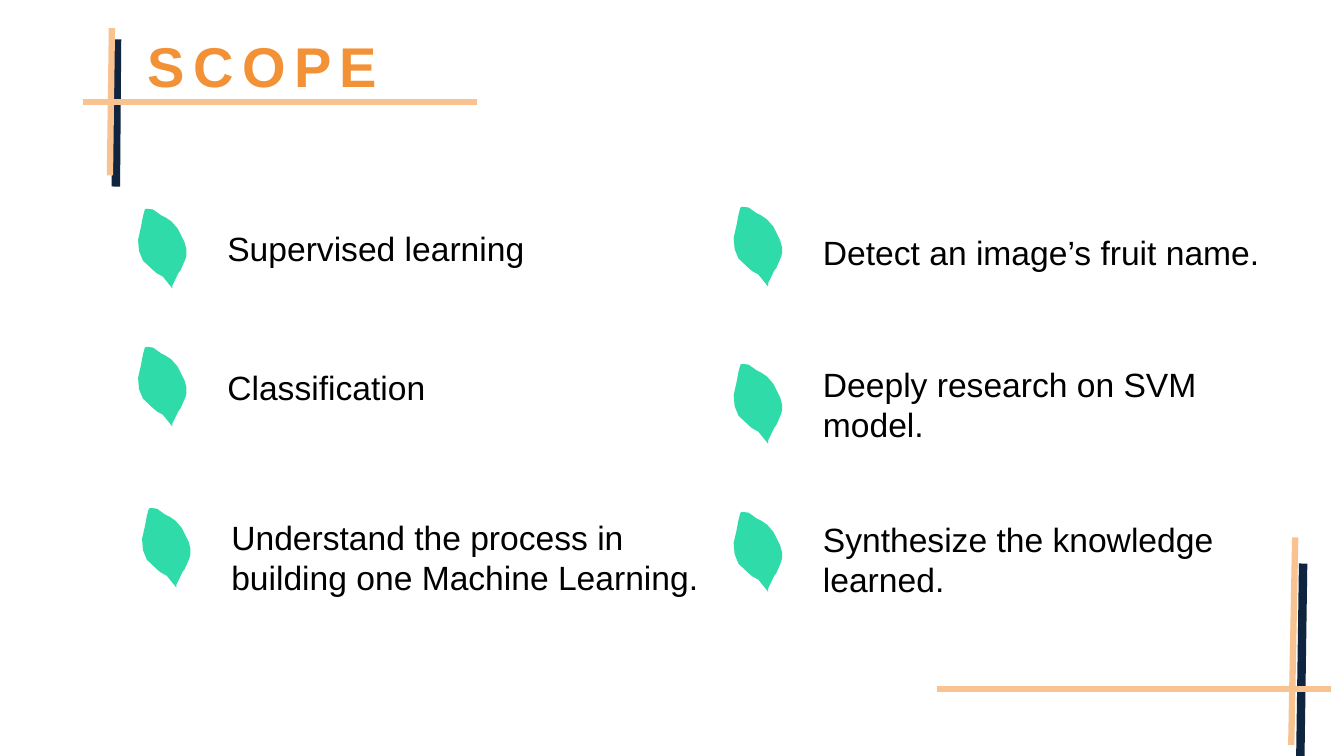
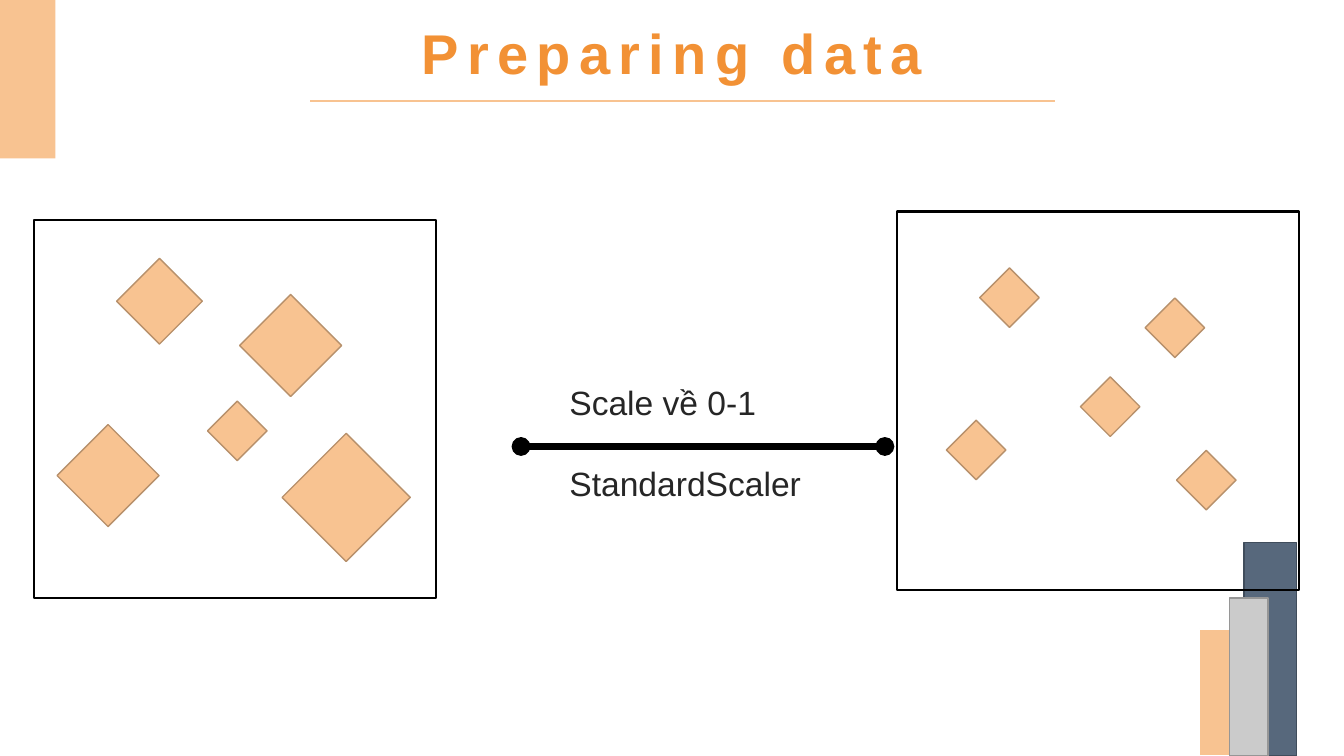
from lxml import etree
from pptx import Presentation
from pptx.dml.color import RGBColor
from pptx.enum.shapes import MSO_CONNECTOR, MSO_SHAPE
from pptx.enum.text import PP_ALIGN
from pptx.oxml.ns import qn
from pptx.util import Cm, Pt

RECT, DIAMOND = MSO_SHAPE.RECTANGLE, MSO_SHAPE.DIAMOND
STRAIGHT = MSO_CONNECTOR.STRAIGHT
LEFT, CENTER = PP_ALIGN.LEFT, PP_ALIGN.CENTER

FONT = "Arial"
ORANGE, PEACH, NAVY, GREEN = "F29135", "F8C391", "0F243E", "2FDBA9"
SLATE, GREY, BLACK, WHITE, DARK = "57687C", "CBCBCB", "000000", "FFFFFF", "262626"

LEAF = [(96, 42), (82, 25), (69, 16), (57, 11), (47, 8), (31, 1), (18, 0), (14, 1),
        (10, 10), (6, 23), (0, 39), (2, 53), (10, 65), (31, 77), (39, 81), (51, 85),
        (71, 100), (71, 96), (76, 90), (84, 80), (88, 77), (98, 63), (100, 58), (100, 51)]
LEAF_SIZE = (1.22, 2.01)

SCOPE_ITEMS = [
    (3.48, 5.26, 5.61, 8.1, "Supervised learning"),
    (3.48, 8.74, 9.12, 5.7, "Classification"),
    (3.58, 12.8, 12.9, 13.26, "Understand the process in building one Machine Learning."),
    (18.49, 5.21, 5.72, 12.07, "Detect an image’s fruit name."),
    (18.49, 9.17, 9.04, 12.07, "Deeply research on SVM model."),
    (18.49, 12.9, 12.95, 10.36, "Synthesize the knowledge learned."),
]

RAW_DATA = [(2.08, 0.97, 2.16), (0.58, 5.16, 2.57), (5.18, 1.88, 2.57),
            (4.37, 4.57, 1.5), (6.25, 5.38, 3.23)]
SCALED_DATA = [(x, y, 1.5) for x, y in
               [(2.08, 1.42), (1.24, 5.26), (4.62, 4.17), (7.04, 6.02), (6.25, 2.18)]]


def rgb(value):
    """Turn a hex string into a colour."""
    return RGBColor.from_string(value)


def paint(sp, fill=None, line=None, width=1):
    """Set the fill and outline of a shape and drop its shadow."""
    sp.shadow.inherit = False
    if fill:
        sp.fill.solid()
        sp.fill.fore_color.rgb = rgb(fill)
    else:
        sp.fill.background()
    if line:
        sp.line.color.rgb = rgb(line)
        sp.line.width = Pt(width)
    else:
        sp.line.fill.background()


def add_box(s, kind, box, fill=None, line=None, width=1):
    """Place a painted preset shape."""
    sp = s.shapes.add_shape(kind, *map(Cm, box))
    paint(sp, fill, line, width)


def add_line(s, ends, color, width, cap=None):
    """Draw a straight line, with optional end caps."""
    ln = s.shapes.add_connector(STRAIGHT, *map(Cm, ends))
    ln.line.color.rgb = rgb(color)
    ln.line.width = Pt(width)
    if cap:
        for tag in ("a:headEnd", "a:tailEnd"):
            etree.SubElement(ln.line._get_or_add_ln(), qn(tag)).set("type", cap)
    etree.SubElement(ln._element.spPr, qn("a:effectLst"))


def add_text(s, box, lines, color=BLACK, size=24, bold=False, align=LEFT,
             tracking=0, spacing=None, gap=0):
    """Write one paragraph per line in a wrapping text box."""
    tf = s.shapes.add_textbox(*map(Cm, box)).text_frame
    tf.word_wrap = True
    for i, text in enumerate(lines):
        p = tf.paragraphs[0] if i == 0 else tf.add_paragraph()
        p.alignment = align
        if spacing:
            p.line_spacing = spacing
        if i and gap:
            p.space_before = Pt(gap)
        r = p.add_run()
        r.text = text
        r.font.name, r.font.size, r.font.bold = FONT, Pt(size), bold
        r.font.color.rgb = rgb(color)
        if tracking:
            r._r.get_or_add_rPr().set("spc", str(tracking * 100))


def add_title(s, box, text, align=LEFT, spacing=None):
    """Write a slide title in the shared style."""
    add_text(s, box, [text], ORANGE, 40, True, align, 6, spacing)


def add_cross(s, left, top, bar_y, navy, peach):
    """Draw a long bar crossed by two slanted strokes given relative to a corner."""
    strokes = [(navy, NAVY, 6), ((0, bar_y, 9.93, bar_y), PEACH, 4.5), (peach, PEACH, 4.5)]
    for (x1, y1, x2, y2), color, width in strokes:
        add_line(s, (left + x1, top + y1, left + x2, top + y2), color, width)


def add_scope_item(s, left, top, text_top, width, text):
    """Place a leaf marker and the statement to its right."""
    scale = tuple(Cm(side) / 100 for side in LEAF_SIZE)
    fb = s.shapes.build_freeform(*LEAF[0], scale=scale)
    fb.add_line_segments(LEAF[1:], close=True)
    paint(fb.convert_to_shape(Cm(left), Cm(top)), GREEN)
    add_text(s, (left + 2, text_top, width, 1.27), [text])


def add_panel(s, left, top, diamonds):
    """Draw a frame holding diamonds given as offset and size."""
    add_box(s, RECT, (left, top, 10.13, 9.53), line=BLACK, width=1.5)
    for x, y, size in diamonds:
        add_box(s, DIAMOND, (left + x, top + y, size, size), PEACH, "B7906B")


def add_corner_bars(s, left, bottom):
    """Stand three bars on a common base line."""
    bars = [(1.12, 1.32, 5.38, SLATE, "404D5C"),
            (0, 1.12, 3.2, PEACH, WHITE),
            (0.76, 0.97, 3.98, GREY, "969696")]
    for x, width, height, fill, line in bars:
        add_box(s, RECT, (left + x, bottom - height, width, height), fill, line)


def build_scope(s):
    """Build the scope slide."""
    add_cross(s, 2.08, 0.71, 1.86, (0.87, 0.28, 0.84, 3.99), (0.74, 0, 0.69, 3.71))
    add_title(s, (3.48, 0.66, 7, 1.96), "SCOPE")
    add_cross(s, 23.62, 13.54, 3.83, (9.22, 0.66, 9.15, 5.51), (9.02, 0, 8.92, 5.23))
    for item in SCOPE_ITEMS:
        add_scope_item(s, *item)


def build_preparing(s):
    """Build the data preparation slide."""
    add_corner_bars(s, 30.23, 19.05)
    add_title(s, (0.86, 0.53, 32.16, 2.01), "Preparing data", CENTER, 0.9)
    add_line(s, (7.82, 2.54, 26.59, 2.54), PEACH, 1.5)
    add_box(s, RECT, (0, 0, 1.4, 3.99), PEACH)
    add_text(s, (14.1, 9.5, 6.65, 3.33), ["Scale về 0-1", "StandardScaler"], DARK, gap=28.8)
    add_line(s, (13.13, 11.25, 22.3, 11.25), BLACK, 4.5, "oval")
    add_panel(s, 0.86, 5.54, RAW_DATA)
    add_panel(s, 22.61, 5.33, SCALED_DATA)


def main():
    """Create the presentation and save it."""
    prs = Presentation()
    prs.slide_width, prs.slide_height = Cm(33.87), Cm(19.05)
    for build in (build_scope, build_preparing):
        build(prs.slides.add_slide(prs.slide_layouts[6]))
    prs.save("out.pptx")


if __name__ == "__main__":
    main()
